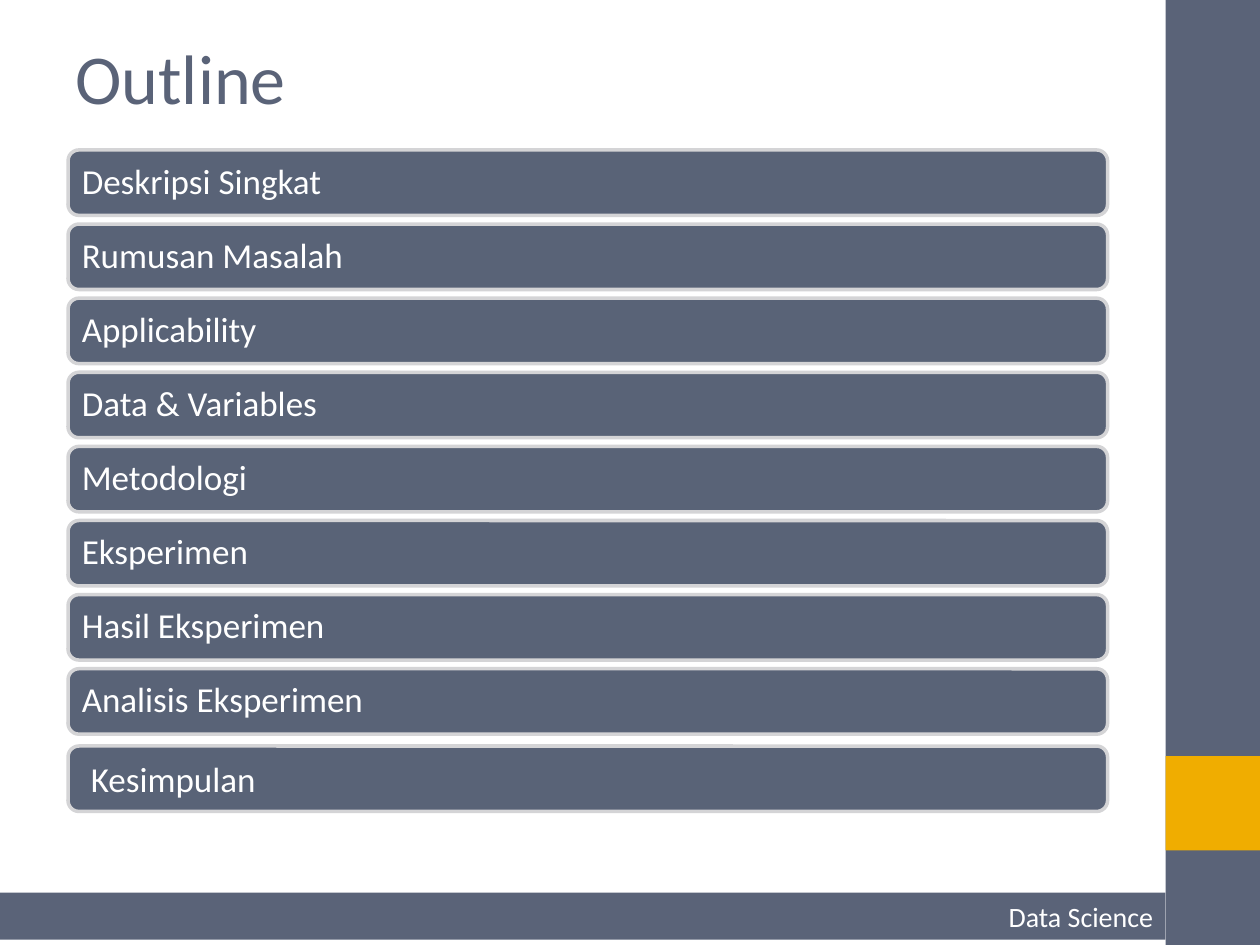
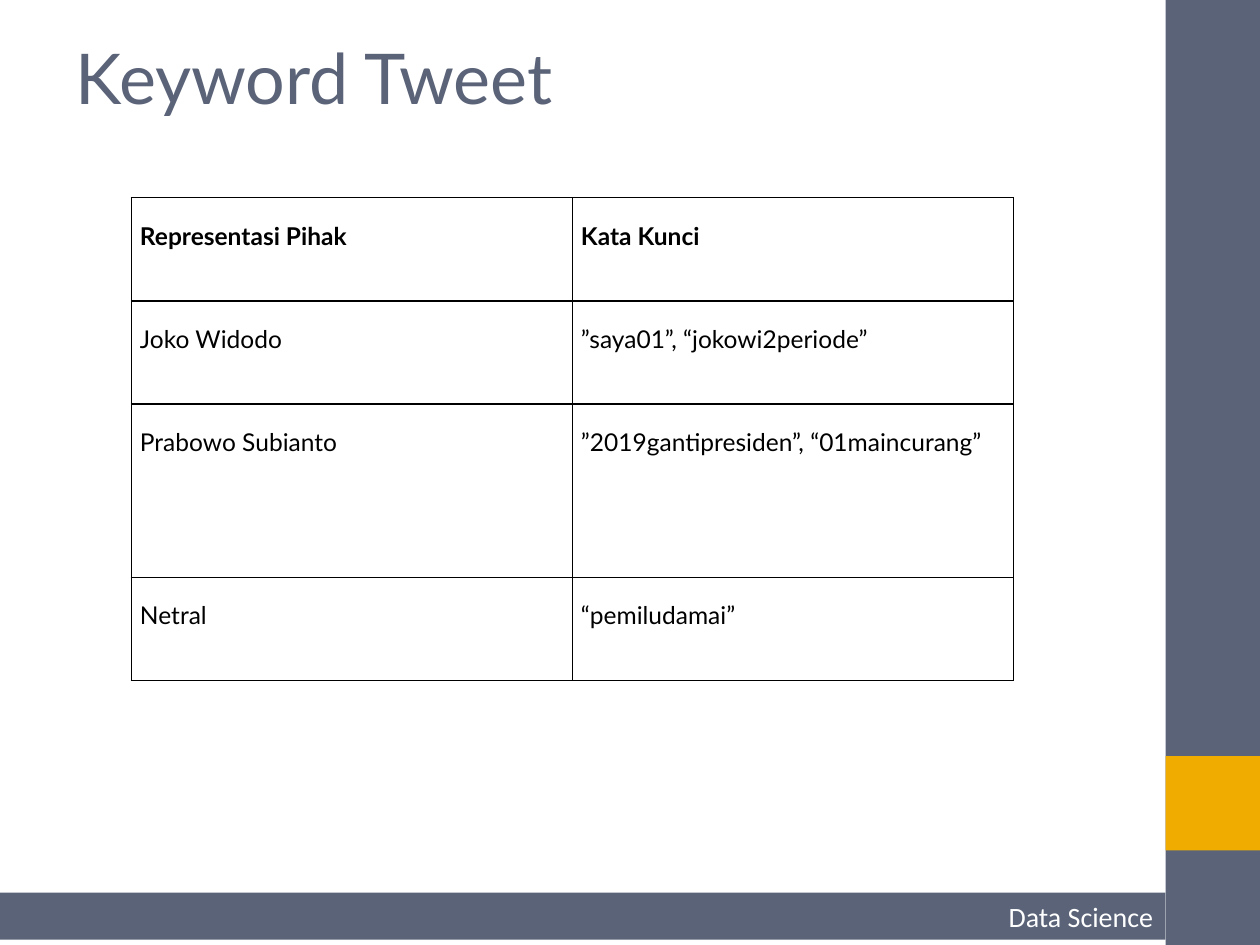
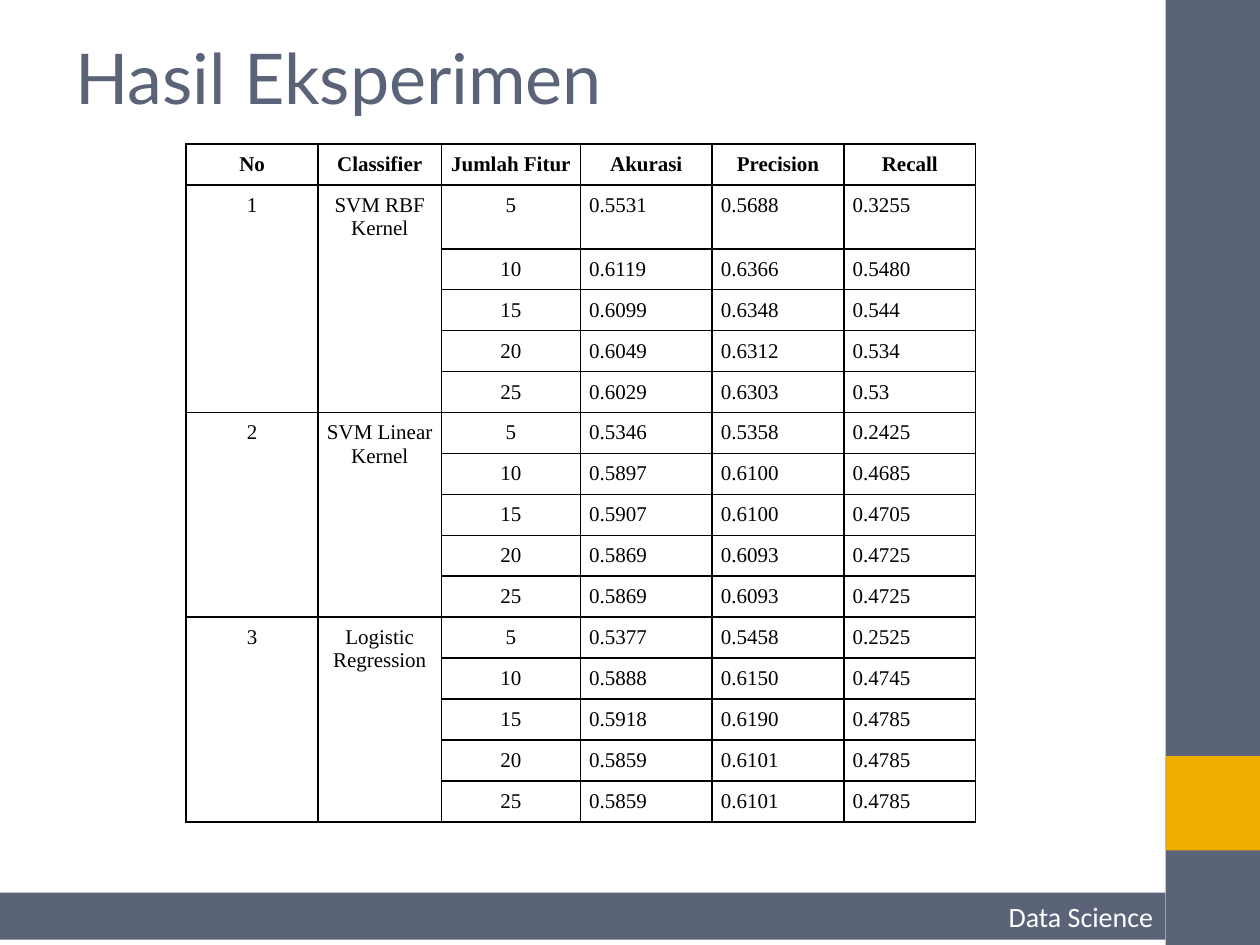
from dataclasses import dataclass
from typing import Optional

from lxml.etree import SubElement
from pptx import Presentation
from pptx.dml.color import RGBColor
from pptx.enum.shapes import MSO_SHAPE as Preset
from pptx.enum.text import MSO_ANCHOR as Anchor, MSO_AUTO_SIZE as AutoSize, PP_ALIGN as Align
from pptx.oxml.ns import qn
from pptx.util import Pt

SLATE, AMBER, WHITE, BLACK = "5A6378", "F0AD00", "FFFFFF", "000000"
BAR_FILL, BAR_LINE = "596377", "D4D4D6"
CALIBRI, LATO, TIMES = "Calibri", "Lato", "Times New Roman"
SIDE_LEFT = 666
CELL_MARGIN = 5


@dataclass(frozen=True)
class TextStyle:
    font: str
    size: float
    color: str
    bold: bool = False
    align: Align = Align.LEFT
    spacing: float = 1.0


@dataclass(frozen=True)
class Box:
    left: float
    top: float
    width: float
    height: float
    fill: str
    line: Optional[str] = None
    preset: Preset = Preset.RECTANGLE


@dataclass(frozen=True)
class Bar:
    label: str
    top: float
    margin: float = 6
    spacing: float = 0.9


@dataclass(frozen=True)
class Grid:
    left: float
    top: float
    columns: list[float]
    rows: list[float]


BANDS = [
    Box(SIDE_LEFT, 0, 54, 540, SLATE),
    Box(SIDE_LEFT, 432, 54, 54, AMBER),
]
FOOTER = Box(0, 510, SIDE_LEFT, 27, SLATE)
FOOTER_STYLE = TextStyle(CALIBRI, 16, WHITE, align=Align.RIGHT)

# Outline bars: equal steps, with the closing one slightly lower
TOPICS = ["Deskripsi Singkat", "Rumusan Masalah", "Applicability", "Data & Variables",
          "Metodologi", "Eksperimen", "Hasil Eksperimen", "Analisis Eksperimen"]
BARS = [Bar(topic, 85.7 + 42.35 * index) for index, topic in enumerate(TOPICS)]
BARS.append(Bar("Kesimpulan", 426.3, margin=11.2, spacing=1.0))

KEYWORDS = [
    ("Representasi Pihak", "Kata Kunci"),
    ("Joko Widodo", "”saya01”, “jokowi2periode”"),
    ("Prabowo Subianto", "”2019gantipresiden”, “01maincurang”"),
    ("Netral", "“pemiludamai”"),
]

RESULT_HEADER = ("No", "Classifier", "Jumlah Fitur", "Akurasi", "Precision", "Recall")
FEATURE_COUNTS = ("5", "10", "15", "20", "25")
# Accuracy, precision and recall for each feature count
RESULTS = {
    "SVM RBF Kernel": [
        ("0.5531", "0.5688", "0.3255"), ("0.6119", "0.6366", "0.5480"),
        ("0.6099", "0.6348", "0.544"), ("0.6049", "0.6312", "0.534"),
        ("0.6029", "0.6303", "0.53")],
    "SVM Linear Kernel": [
        ("0.5346", "0.5358", "0.2425"), ("0.5897", "0.6100", "0.4685"),
        ("0.5907", "0.6100", "0.4705"), ("0.5869", "0.6093", "0.4725"),
        ("0.5869", "0.6093", "0.4725")],
    "Logistic Regression": [
        ("0.5377", "0.5458", "0.2525"), ("0.5888", "0.6150", "0.4745"),
        ("0.5918", "0.6190", "0.4785"), ("0.5859", "0.6101", "0.4785"),
        ("0.5859", "0.6101", "0.4785")],
}


def rgb(color: str) -> RGBColor:
    return RGBColor.from_string(color)


def write(text_frame, text: str, style: TextStyle) -> None:
    paragraph = text_frame.paragraphs[0]
    paragraph.alignment = style.align
    paragraph.line_spacing = style.spacing
    run = paragraph.add_run()
    run.text = text
    run.font.name = style.font
    run.font.size = Pt(style.size)
    run.font.bold = style.bold
    run.font.color.rgb = rgb(style.color)


def add_box(slide, box: Box):
    shape = slide.shapes.add_shape(
        box.preset, Pt(box.left), Pt(box.top), Pt(box.width), Pt(box.height))
    shape.shadow.inherit = False
    shape.fill.solid()
    shape.fill.fore_color.rgb = rgb(box.fill)
    if box.line:
        shape.line.color.rgb = rgb(box.line)
        shape.line.width = Pt(2)
    else:
        shape.line.fill.background()
    shape.text_frame.word_wrap = True
    shape.text_frame.vertical_anchor = Anchor.MIDDLE
    return shape


def add_slide(presentation, title_text: str, title_font: str):
    """Title-only slide with the side bands and the footer."""
    slide = presentation.slides.add_slide(presentation.slide_layouts[5])
    for band in BANDS:
        add_box(slide, band)
    write(add_box(slide, FOOTER).text_frame, "Data Science", FOOTER_STYLE)

    title = slide.shapes.title
    title.left, title.top, title.width, title.height = Pt(36), Pt(21.6), Pt(600), Pt(44.6)
    title.text_frame.auto_size = AutoSize.NONE
    title.text_frame.vertical_anchor = Anchor.MIDDLE
    write(title.text_frame, title_text, TextStyle(title_font, 40, SLATE))
    return slide


def add_bar(slide, bar: Bar) -> None:
    shape = add_box(slide, Box(38.9, bar.top, 594, 37.4, BAR_FILL, BAR_LINE,
                               Preset.ROUNDED_RECTANGLE))
    text_frame = shape.text_frame
    text_frame.margin_left = Pt(bar.margin)
    text_frame.margin_top = text_frame.margin_bottom = 0
    write(text_frame, bar.label, TextStyle(CALIBRI, 20, WHITE, spacing=bar.spacing))


def format_cell(cell) -> None:
    cell.margin_left = cell.margin_right = Pt(CELL_MARGIN)
    cell.margin_top = cell.margin_bottom = Pt(CELL_MARGIN)
    properties = cell._tc.get_or_add_tcPr()
    for side in ("a:lnL", "a:lnR", "a:lnT", "a:lnB"):
        border = SubElement(properties, qn(side), w=str(Pt(1)))
        SubElement(SubElement(border, qn("a:solidFill")), qn("a:srgbClr"), val=BLACK)
    cell.fill.background()


def add_grid(slide, grid: Grid):
    """Plain table with black borders and no banding."""
    table = slide.shapes.add_table(
        len(grid.rows), len(grid.columns), Pt(grid.left), Pt(grid.top),
        Pt(sum(grid.columns)), Pt(sum(grid.rows))).table
    table.first_row = table.horz_banding = False
    for column, width in zip(table.columns, grid.columns):
        column.width = Pt(width)
    for row, height in zip(table.rows, grid.rows):
        row.height = Pt(height)
        for cell in row.cells:
            format_cell(cell)
    return table


def build_outline(presentation) -> None:
    slide = add_slide(presentation, "Outline", CALIBRI)
    for bar in BARS:
        add_bar(slide, bar)


def build_keywords(presentation) -> None:
    slide = add_slide(presentation, "Keyword Tweet", LATO)
    table = add_grid(slide, Grid(75, 113, [252, 252], [59, 59, 99, 59]))
    for row, texts in enumerate(KEYWORDS):
        style = TextStyle(LATO, 14, BLACK, row == 0, Align.JUSTIFY, 1.5)
        for column, text in enumerate(texts):
            write(table.cell(row, column).text_frame, text, style)


def build_results(presentation) -> None:
    slide = add_slide(presentation, "Hasil Eksperimen", LATO)
    table = add_grid(slide, Grid(106.4, 82.2, [75.3, 70.6, 79.4, 75.3, 75.3, 75.3],
                                 [23.4, 36.6] + [23.4] * 14))
    header = TextStyle(TIMES, 12, BLACK, True, Align.CENTER)
    centered = TextStyle(TIMES, 12, BLACK, align=Align.CENTER)
    value_style = TextStyle(TIMES, 12, BLACK)
    for column, text in enumerate(RESULT_HEADER):
        write(table.cell(0, column).text_frame, text, header)

    # One block of merged rows for each classifier
    block = len(FEATURE_COUNTS)
    for index, (classifier, scores) in enumerate(RESULTS.items()):
        first = 1 + index * block
        for column, text in enumerate((str(index + 1), classifier)):
            cell = table.cell(first, column)
            cell.merge(table.cell(first + block - 1, column))
            write(cell.text_frame, text, centered)
        for row, (count, values) in enumerate(zip(FEATURE_COUNTS, scores), first):
            write(table.cell(row, 2).text_frame, count, centered)
            for column, value in enumerate(values, 3):
                write(table.cell(row, column).text_frame, value, value_style)


def main() -> None:
    presentation = Presentation()
    presentation.slide_width, presentation.slide_height = Pt(720), Pt(540)
    build_outline(presentation)
    build_keywords(presentation)
    build_results(presentation)
    presentation.save("out.pptx")


if __name__ == "__main__":
    main()
